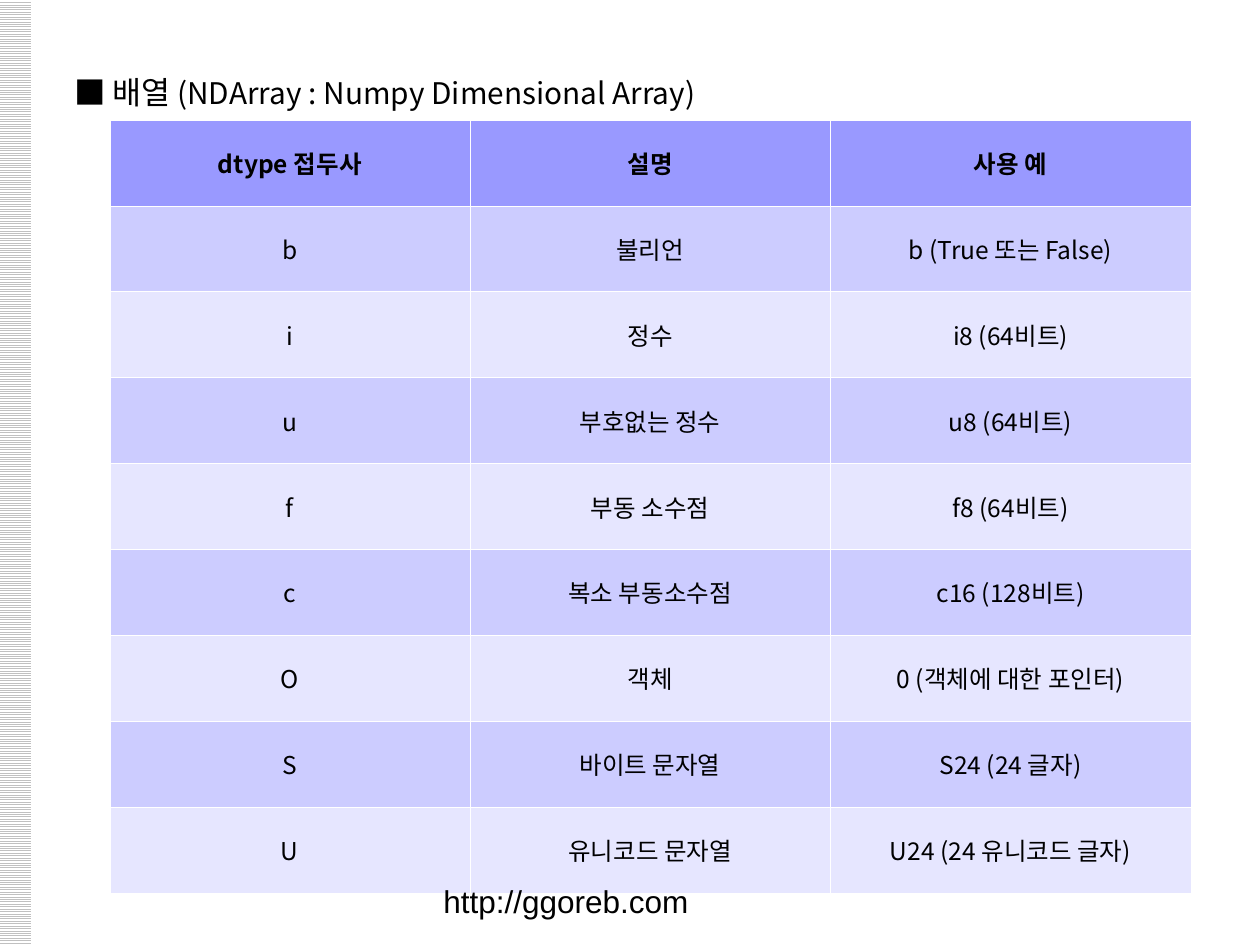
from lxml import etree
from pptx import Presentation
from pptx.dml.color import RGBColor
from pptx.enum.dml import MSO_PATTERN
from pptx.enum.shapes import MSO_SHAPE
from pptx.enum.text import MSO_ANCHOR, PP_ALIGN
from pptx.oxml.ns import qn
from pptx.util import Inches, Pt

RECTANGLE = MSO_SHAPE.RECTANGLE
LIGHT_HORIZONTAL = MSO_PATTERN.LIGHT_HORIZONTAL
TOP, MIDDLE = MSO_ANCHOR.TOP, MSO_ANCHOR.MIDDLE
CENTER = PP_ALIGN.CENTER

BLACK, WHITE, SILVER = "000000", "FFFFFF", "C0C0C0"
HEADER_FILL = "9999FF"
BAND_FILLS = ("CCCCFF", "E6E6FF")
KOREAN_FONT, LATIN_FONT = "Noto Sans CJK KR", "Arial"

DTYPE_ROWS = [
    ("dtype 접두사", "설명", "사용 예"),
    ("b", "불리언", "b (True 또는 False)"),
    ("i", "정수", "i8 (64비트)"),
    ("u", "부호없는 정수", "u8 (64비트)"),
    ("f", "부동 소수점", "f8 (64비트)"),
    ("c", "복소 부동소수점", "c16 (128비트)"),
    ("O", "객체", "0 (객체에 대한 포인터)"),
    ("S", "바이트 문자열", "S24 (24 글자)"),
    ("U", "유니코드 문자열", "U24 (24 유니코드 글자)"),
]


def color(value):
    return RGBColor.from_string(value)


class PageBuilder:
    def __init__(self, page):
        self.page = page

    def add_span(self, para, text, size, font=KOREAN_FONT, bold=False):
        span = para.add_run()
        span.text = text
        span.font.size = Pt(size)
        span.font.bold = bold
        span.font.name = font
        span.font.color.rgb = color(BLACK)
        east_asian = etree.SubElement(span.font._element, qn("a:ea"))
        east_asian.set("typeface", font)

    def add_striped_bar(self, left, top, width, height):
        bar = self.page.shapes.add_shape(
            RECTANGLE, Inches(left), Inches(top), Inches(width), Inches(height))
        bar.shadow.inherit = False
        bar.fill.patterned()
        bar.fill.pattern = LIGHT_HORIZONTAL
        bar.fill.fore_color.rgb = color(SILVER)
        bar.fill.back_color.rgb = color(WHITE)
        bar.line.fill.background()

    def add_text(self, left, top, width, height, spans, font=KOREAN_FONT,
                 anchor=TOP, line_spacing=1.0):
        box = self.page.shapes.add_textbox(
            Inches(left), Inches(top), Inches(width), Inches(height))
        frame = box.text_frame
        frame.word_wrap = True
        frame.vertical_anchor = anchor
        para = frame.paragraphs[0]
        para.line_spacing = line_spacing
        for text, size in spans:
            self.add_span(para, text, size, font)

    def add_borders(self, cell):
        properties = cell._tc.get_or_add_tcPr()
        for index, side in enumerate(("lnL", "lnR", "lnT", "lnB")):
            line = etree.Element(qn(f"a:{side}"), w=str(Pt(0.06)))
            fill = etree.SubElement(line, qn("a:solidFill"))
            etree.SubElement(fill, qn("a:srgbClr"), val=WHITE)
            properties.insert(index, line)

    def add_table(self, left, top, width, height, rows):
        table = self.page.shapes.add_table(
            len(rows), len(rows[0]), Inches(left), Inches(top),
            Inches(width), Inches(height)).table
        for row_index, row in enumerate(rows):
            is_header = row_index == 0
            fill = HEADER_FILL if is_header else BAND_FILLS[(row_index - 1) % 2]
            for column_index, text in enumerate(row):
                cell = table.cell(row_index, column_index)
                cell.vertical_anchor = MIDDLE
                cell.fill.solid()
                cell.fill.fore_color.rgb = color(fill)
                self.add_borders(cell)
                para = cell.text_frame.paragraphs[0]
                para.alignment = CENTER
                self.add_span(para, text, 14, bold=is_header)


def main():
    deck = Presentation()
    deck.slide_width, deck.slide_height = Inches(10), Inches(7.5)
    builder = PageBuilder(deck.slides.add_slide(deck.slide_layouts[6]))

    # Striped left edge
    builder.add_striped_bar(-0.01, 0, 0.26, 7.5)

    # Heading
    builder.add_text(
        0.49, 0.23, 9.19, 6.37,
        [("■ 배열", 18), (" (NDArray : Numpy Dimensional Array)", 17)],
        line_spacing=2.0)

    # Table of dtype prefixes
    builder.add_table(0.87, 0.95, 8.58, 6.14, DTYPE_ROWS)

    # Footer address
    builder.add_text(3.42, 6.95, 3.17, 0.4, [("http://ggoreb.com", 18)],
                     font=LATIN_FONT, anchor=MIDDLE)

    deck.save("out.pptx")


if __name__ == "__main__":
    main()
